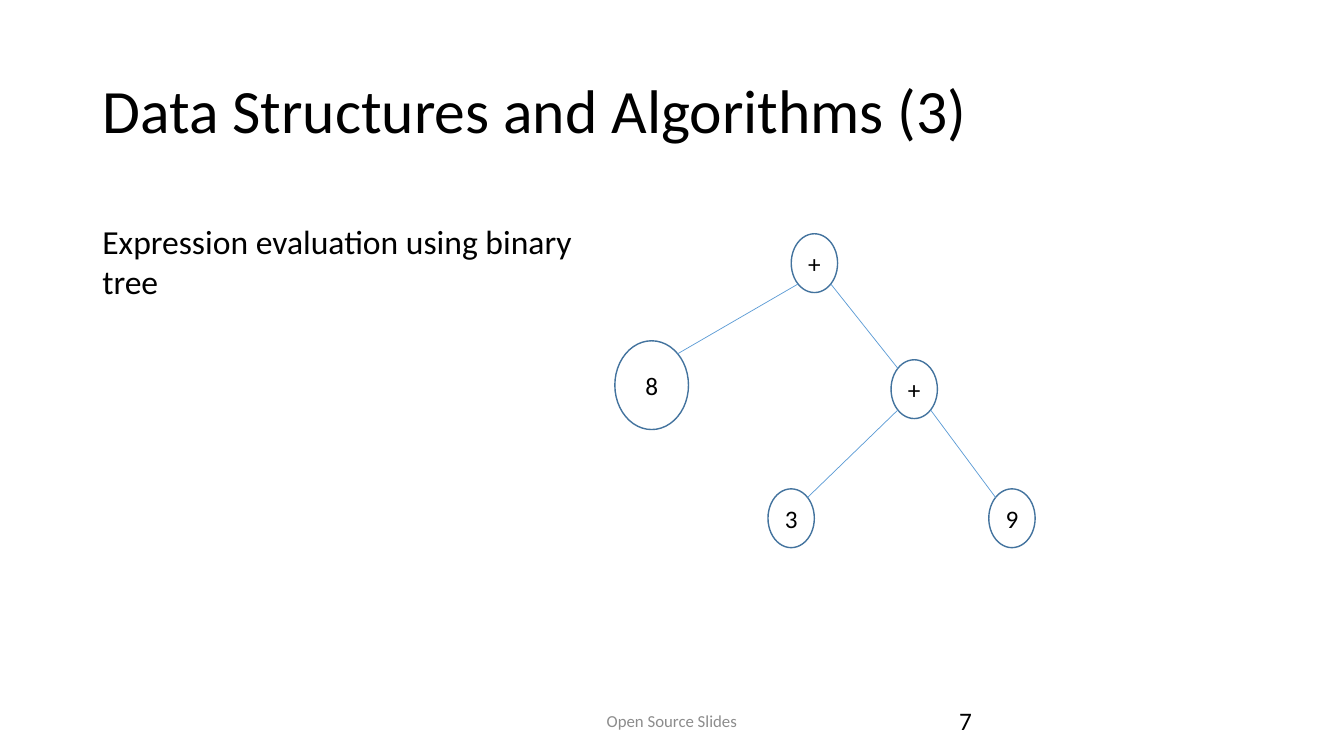
from math import sqrt

from lxml.etree import SubElement
from pptx import Presentation
from pptx.dml.color import RGBColor
from pptx.enum.shapes import MSO_CONNECTOR as CONN, MSO_SHAPE as SHAPE
from pptx.enum.text import MSO_ANCHOR as ANCHOR, PP_ALIGN as ALIGN
from pptx.oxml.ns import qn
from pptx.util import Pt

COLORS = {"text": "000000", "muted": "8C8C8C", "outline": "43739E", "edge": "5B9BD5"}
NODES = {
    "root": ("+", 565.2, 167, 33.1, 42),
    "sum": ("+", 636.5, 257, 33.1, 42),
    "three": ("3", 548.6, 349.2, 33.1, 42),
    "nine": ("9", 706.3, 349.2, 33.1, 42),
    "eight": ("8", 439.2, 243.4, 52.6, 63.4),
}
EDGES = [("sum", "nine"), ("sum", "three"), ("root", "sum"), ("root", "eight")]


def color(name):
    """Return the named palette colour."""
    return RGBColor.from_string(COLORS[name])


def write(sp, text, size=18, ink="text", align=ALIGN.LEFT, anchor=ANCHOR.TOP,
          spacing=None, inset=None, wrap=True):
    """Put formatted text into a shape."""
    tf = sp.text_frame
    tf.word_wrap = wrap
    tf.vertical_anchor = anchor
    if inset is not None:
        tf.margin_left = tf.margin_right = tf.margin_top = tf.margin_bottom = Pt(inset)
    p = tf.paragraphs[0]
    p.alignment = align
    p.line_spacing = spacing
    r = p.add_run()
    r.text = text
    r.font.name = "Calibri"
    r.font.size = Pt(size)
    r.font.color.rgb = color(ink)


class TreeSlide:
    """A slide with a title, texts and a binary tree."""

    def __init__(self, prs):
        """Add a title-only slide to the presentation."""
        self.s = prs.slides.add_slide(prs.slide_layouts[5])
        self.diagonal = sqrt(0.5)

    def title(self, text, x, y, w, h):
        """Place the title placeholder."""
        sp = self.s.shapes.title
        sp.left, sp.top, sp.width, sp.height = Pt(x), Pt(y), Pt(w), Pt(h)
        write(sp, text, size=44, anchor=ANCHOR.MIDDLE, spacing=0.9)

    def text(self, text, x, y, w, h, **fmt):
        """Add a text box."""
        write(self.s.shapes.add_textbox(Pt(x), Pt(y), Pt(w), Pt(h)), text, **fmt)

    def node(self, text, x, y, w, h):
        """Add an unfilled oval tree node."""
        sp = self.s.shapes.add_shape(SHAPE.OVAL, Pt(x), Pt(y), Pt(w), Pt(h))
        sp.shadow.inherit = False
        sp.fill.background()
        sp.line.color.rgb = color("outline")
        sp.line.width = Pt(1)
        write(sp, text, align=ALIGN.CENTER, anchor=ANCHOR.MIDDLE, inset=0, wrap=False)
        return sp

    def rim(self, sp, dx, dy):
        """Return the diagonal point on a node's rim."""
        return (int(sp.left + sp.width / 2 * (1 + dx * self.diagonal)),
                int(sp.top + sp.height / 2 * (1 + dy * self.diagonal)))

    def edge(self, parent, child):
        """Link the lower rim of a parent to the upper rim of its child."""
        side = 1 if child.left > parent.left else -1
        line = self.s.shapes.add_connector(
            CONN.STRAIGHT, *self.rim(parent, side, 1), *self.rim(child, -side, -1))
        line.line.color.rgb = color("edge")
        line.line.width = Pt(0.5)
        SubElement(line._element.spPr, qn("a:effectLst"))


def main():
    """Build and save the slide."""
    prs = Presentation()
    prs.slide_width, prs.slide_height = Pt(960), Pt(540)
    slide = TreeSlide(prs)
    slide.title("Data Structures and Algorithms (3)", 66, 28.8, 828, 104.4)
    slide.text("Expression evaluation using binary tree", 66, 154, 350, 65.5, size=24)
    nodes = {name: slide.node(*node) for name, node in NODES.items()}
    for parent, child in EDGES:
        slide.edge(nodes[parent], nodes[child])
    slide.text("Open Source Slides", 318, 500.5, 324, 28.8, size=12, ink="muted",
               align=ALIGN.CENTER, anchor=ANCHOR.MIDDLE)
    slide.text("7", 678, 500.5, 216, 28.8)
    prs.save("out.pptx")


if __name__ == "__main__":
    main()
